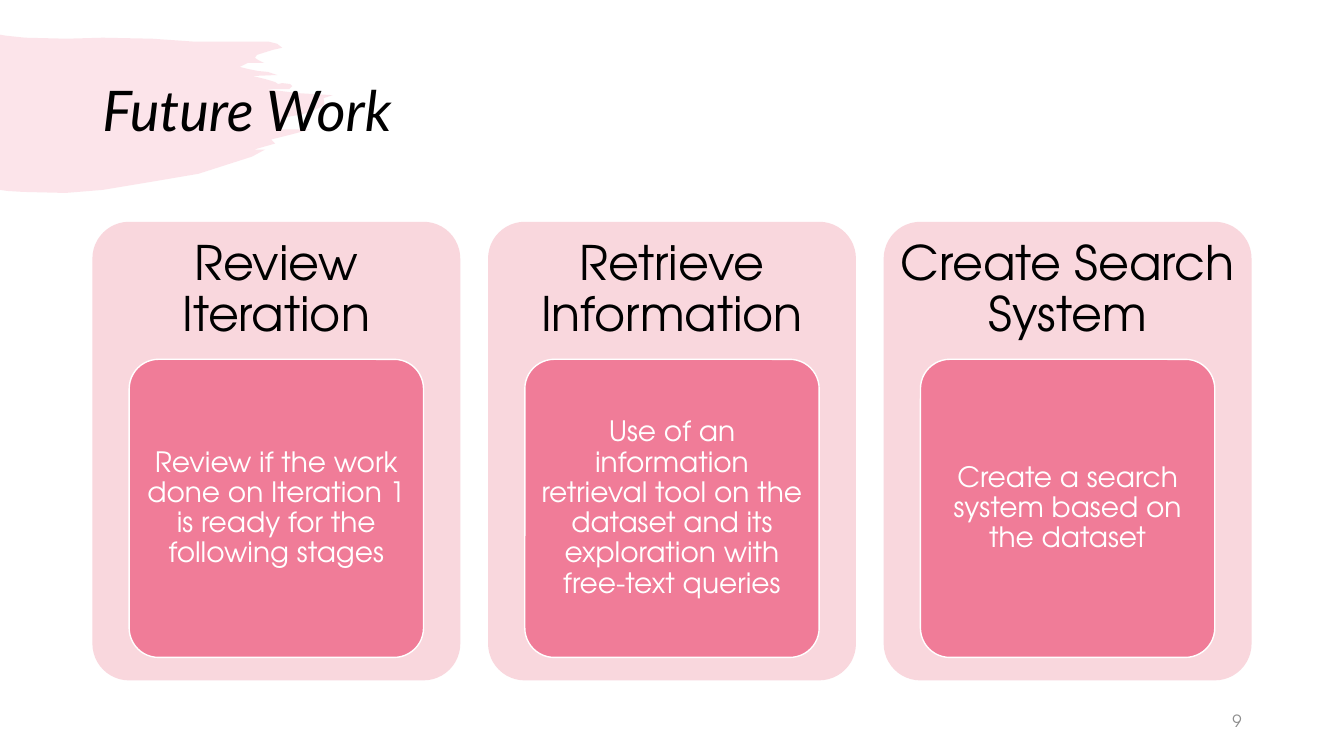
"""Build the Future Work slide with three step cards."""
from lxml import etree
from pptx import Presentation
from pptx import util as u
from pptx.dml.color import RGBColor
from pptx.enum import shapes, text
from pptx.oxml.ns import qn

PINK, PALE, WHITE, BLACK, GREY = "F07C98", "F9D7DD", "FFFFFF", "000000", "8C8C8C"
BODY_FONT, TITLE_FONT = "TeX Gyre Adventor", "Lato"
BRUSH_GRID = 0.72
BRUSH_EDGE = [
    (0, 0), (6, 1), (25, 3), (66, 4), (102, 3), (151, 4), (194, 7), (248, 7),
    (267, 7), (275, 9), (280, 13), (271, 15), (255, 20), (253, 23), (256, 25),
    (262, 28), (246, 28), (238, 32), (246, 34), (256, 36), (266, 37), (275, 40),
    (251, 41), (263, 44), (273, 47), (276, 49), (280, 48), (288, 49), (290, 51),
    (287, 54), (284, 54), (263, 54), (296, 58), (330, 60), (321, 63), (322, 69),
    (318, 72), (307, 77), (300, 79), (283, 82), (280, 86), (278, 91), (274, 94),
    (308, 94), (289, 99), (269, 104), (273, 108), (252, 114), (263, 114),
    (250, 121), (197, 138), (150, 146), (102, 154), (65, 157), (23, 156),
    (7, 155), (0, 154),
]
STEPS = [
    ("Review Iteration",
     "Review if the work done on Iteration 1 is ready for the following stages"),
    ("Retrieve Information",
     "Use of an information retrieval tool on the dataset and its exploration "
     "with free-text queries"),
    ("Create Search System", "Create a search system based on the dataset"),
]


def rgb(code):
    """Return the colour for a hex string."""
    return RGBColor.from_string(code)


def write(frame, words, size, color, align, font=BODY_FONT, insets=(7.2, 3.6), spacing=0.9):
    """Write one vertically centred paragraph into a text frame."""
    frame.word_wrap = True
    frame.auto_size = text.MSO_AUTO_SIZE.NONE
    frame.vertical_anchor = text.MSO_ANCHOR.MIDDLE
    frame.margin_left = frame.margin_right = u.Pt(insets[0])
    frame.margin_top = frame.margin_bottom = u.Pt(insets[1])
    paragraph = frame.paragraphs[0]
    paragraph.text = words
    paragraph.alignment = align
    paragraph.line_spacing = spacing
    paragraph.font.size = u.Pt(size)
    paragraph.font.name = font
    paragraph.font.color.rgb = rgb(color)
    return paragraph


def add_panel(slide, left, top, width, height, fill):
    """Add a rounded panel without an outline."""
    panel = slide.shapes.add_shape(
        shapes.MSO_SHAPE.ROUNDED_RECTANGLE, *map(u.Pt, (left, top, width, height)))
    panel.adjustments[0] = 0.1
    panel.shadow.inherit = False
    panel.fill.solid()
    panel.fill.fore_color.rgb = rgb(fill)
    panel.line.fill.background()
    return panel


def add_brush(slide, left, top):
    """Add the translucent brush stroke behind the title."""
    outline = slide.shapes.build_freeform(*BRUSH_EDGE[0], scale=u.Pt(BRUSH_GRID))
    outline.add_line_segments(BRUSH_EDGE[1:], close=True)
    brush = outline.convert_to_shape(u.Pt(left), u.Pt(top))
    brush.shadow.inherit = False
    brush.line.fill.background()
    brush.fill.solid()
    brush.fill.fore_color.rgb = rgb(PINK)
    tint = brush.element.spPr.find(qn("a:solidFill"))[0]
    etree.SubElement(tint, qn("a:alpha")).set("val", "20000")
    slide.shapes.title.element.addprevious(brush.element)


def add_title(slide, left, top, width, height):
    """Place and format the title placeholder."""
    title = slide.shapes.title
    title.left, title.top, title.width, title.height = map(u.Pt, (left, top, width, height))
    heading = write(title.text_frame, "Future Work", 40, BLACK, text.PP_ALIGN.LEFT, TITLE_FONT)
    heading.font.italic = True


def add_card(slide, left, top, width, height, step, detail):
    """Add a card: a heading above an inner panel with the detail."""
    add_panel(slide, left, top, width, height, PALE)
    heading = slide.shapes.add_textbox(*map(u.Pt, (left, top, width, 0.3 * height)))
    write(heading.text_frame, step, 34, BLACK, text.PP_ALIGN.CENTER, insets=(10, 10))
    inner = add_panel(slide, left + 0.1 * width, top + 0.3 * height,
                      0.8 * width, 0.65 * height, PINK)
    inner.line.color.rgb = rgb(WHITE)
    inner.line.width = u.Pt(1)
    write(inner.text_frame, detail, 20, WHITE, text.PP_ALIGN.CENTER, insets=(4.2, 3))


def add_cards(slide, left, top, width, height, gap):
    """Spread the step cards evenly across the box."""
    card_width = (width - gap * (len(STEPS) - 1)) / len(STEPS)
    for index, (step, detail) in enumerate(STEPS):
        add_card(slide, left + index * (card_width + gap), top, card_width, height, step, detail)


def add_page_number(slide, left, top, width, height):
    """Add the page number at the lower right."""
    number = slide.shapes.add_textbox(*map(u.Pt, (left, top, width, height)))
    write(number.text_frame, "9", 12, GREY, text.PP_ALIGN.RIGHT, spacing=1.0)


def main():
    """Build and save the presentation."""
    deck = Presentation()
    deck.slide_width, deck.slide_height = u.Pt(960), u.Pt(540)
    slide = deck.slides.add_slide(deck.slide_layouts.get_by_name("Title Only"))
    add_brush(slide, 0, 24.8)
    add_title(slide, 66, 28.8, 828, 104.4)
    add_cards(slide, 66, 158.4, 828, 327.6, 19.8)
    add_page_number(slide, 678, 500.4, 216, 28.8)
    deck.save("out.pptx")


main()
